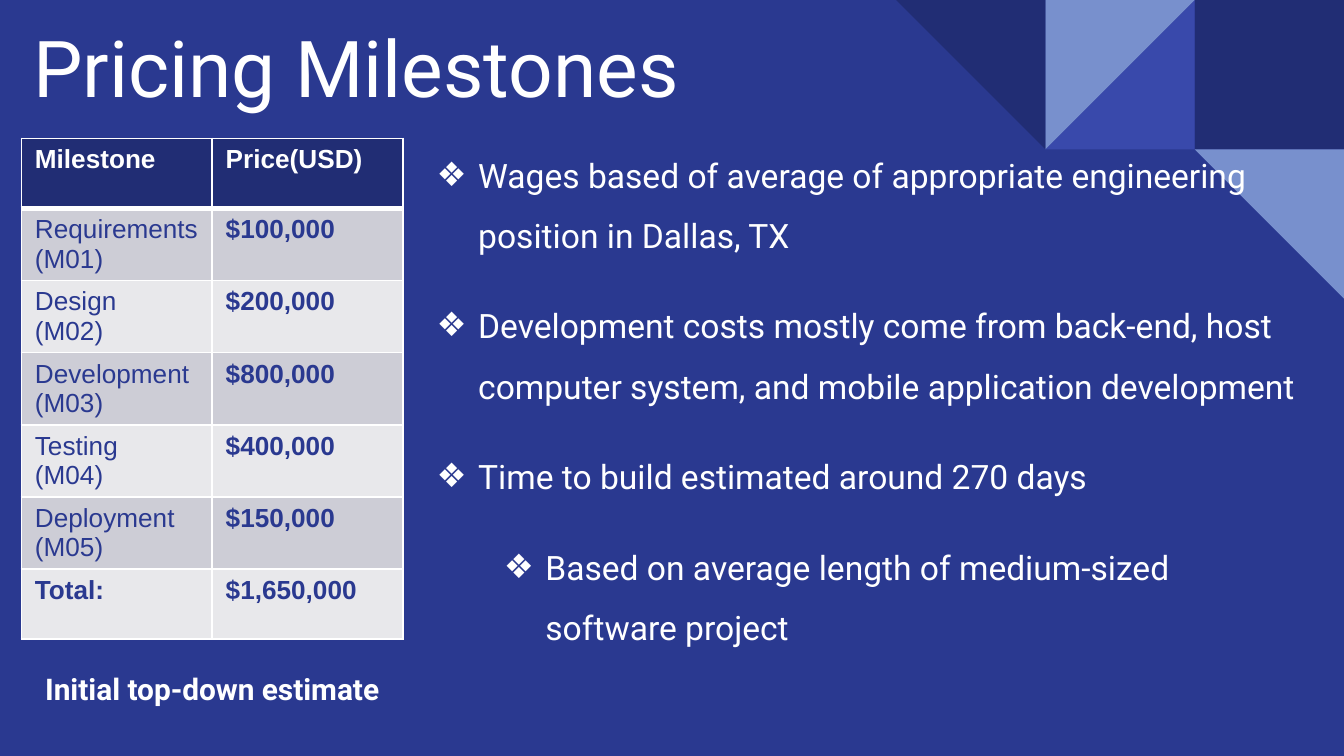
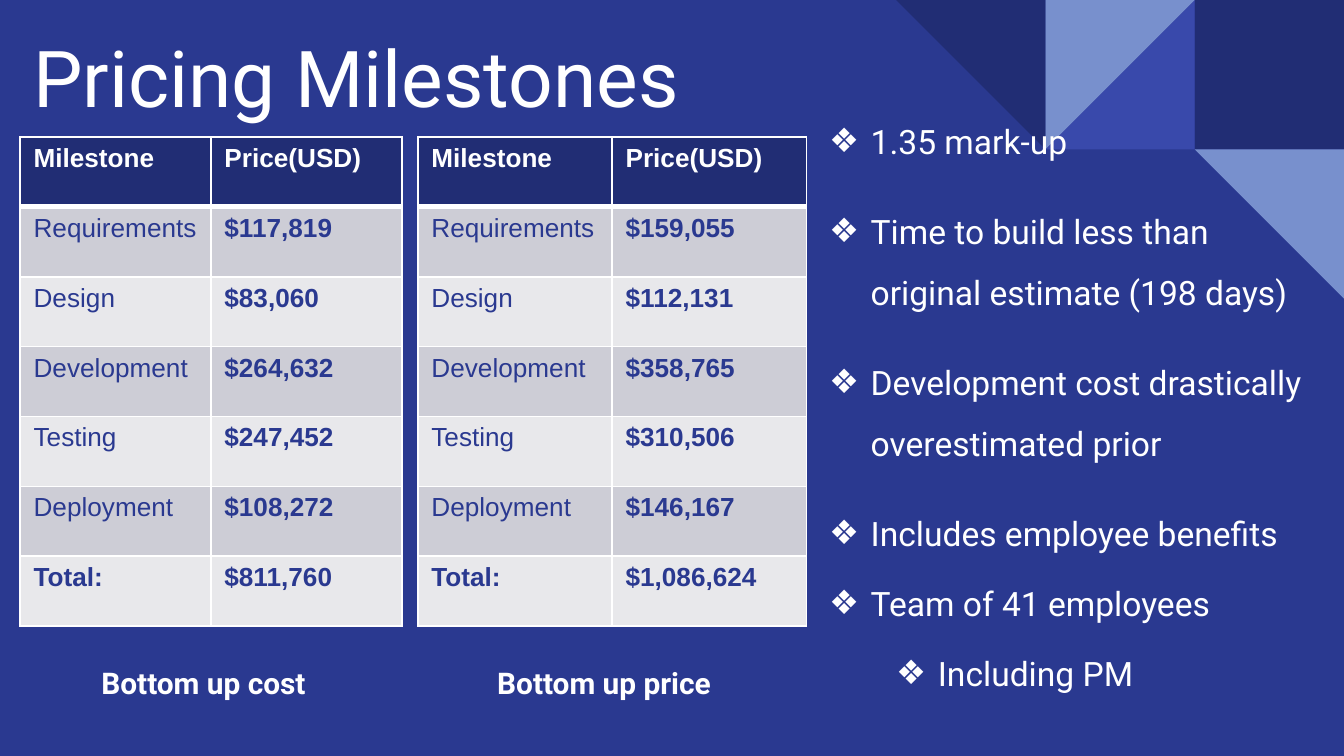
from lxml.etree import SubElement
from pptx import Presentation
from pptx.dml.color import RGBColor
from pptx.enum.shapes import MSO_SHAPE as Shape
from pptx.enum.text import MSO_ANCHOR as Anchor, PP_ALIGN as Align
from pptx.oxml.ns import qn
from pptx.util import Inches, Pt

BLUE, NAVY, ROYAL, SKY = "2A3990", "212D74", "3949AB", "7890CD"
WHITE, GRAY, PALE = "FFFFFF", "CDCDD6", "E8E8EB"
FONT = "Roboto"
TITLE = "Pricing Milestones"
HEAD = ("Milestone", "Price(USD)")
STEPS = ("Requirements", "Design", "Development", "Testing", "Deployment")
WIDTH = 10
ROW = 0.52
TILE = WIDTH / 9

# column from the right, row, shape, turn in degrees, colour
TILES = [
    (0, 0, Shape.RECTANGLE, 0, NAVY),
    (1, 0, Shape.RIGHT_TRIANGLE, 270, ROYAL),
    (1, 0, Shape.RIGHT_TRIANGLE, 90, SKY),
    (2, 0, Shape.RIGHT_TRIANGLE, 180, NAVY),
    (0, 1, Shape.RIGHT_TRIANGLE, 180, SKY),
]

# Each bullet: text, level, line spacing
SLIDES = [
    {
        "top": 0.03,
        "tables": [
            {"at": (0.16, 1.03), "width": 2.84, "codes": True,
             "prices": ("$100,000", "$200,000", "$800,000", "$400,000",
                        "$150,000", "$1,650,000")},
        ],
        "labels": [("Initial top-down estimate", (0.16, 4.92, 2.84, 0.4))],
        "box": (2.55, 0.9, 7.29, 4.39),
        "bullets": [
            ("Wages based of average of appropriate engineering position "
             "in Dallas, TX", 1, 1.5),
            ("Development costs mostly come from back-end, host computer "
             "system, and mobile application development", 1, 1.5),
            ("Time to build estimated around 270 days", 1, 1.5),
            ("Based on average length of medium-sized software project",
             2, 1.5),
        ],
    },
    {
        "top": 0.11,
        "tables": [
            {"at": (0.15, 1.02), "width": 2.84, "codes": False,
             "prices": ("$117,819", "$83,060", "$264,632", "$247,452",
                        "$108,272", "$811,760")},
            {"at": (3.11, 1.02), "width": 2.89, "codes": False,
             "prices": ("$159,055", "$112,131", "$358,765", "$310,506",
                        "$146,167", "$1,086,624")},
        ],
        "labels": [("Bottom up cost", (0.25, 4.88, 2.53, 0.4)),
                   ("Bottom up price", (3.23, 4.88, 2.53, 0.4))],
        "box": (5.47, 0.65, 4.38, 4.74),
        "bullets": [
            ("1.35 mark-up", 1, 1.5),
            ("Time to build less than original estimate (198 days)", 1, 1.5),
            ("Development cost drastically overestimated prior", 1, 1.5),
            ("Includes employee benefits", 1, 1.5),
            ("Team of 41 employees", 1, 1),
            ("Including PM", 2, 1),
        ],
    },
]


def rgb(code):
    return RGBColor.from_string(code)


def paint(item, code):
    item.fill.solid()
    item.fill.fore_color.rgb = rgb(code)


def write(para, text, size=18, color=WHITE, bold=False, font=FONT,
          align=None):
    run = para.add_run()
    run.text = text
    run.font.size = Pt(size)
    run.font.name = font
    run.font.bold = bold
    run.font.color.rgb = rgb(color)
    para.alignment = align


def add_box(slide, at, anchor=Anchor.TOP):
    """Add an empty text box and return its text frame."""
    frame = slide.shapes.add_textbox(*map(Inches, at)).text_frame
    frame.word_wrap = True
    frame.vertical_anchor = anchor
    frame.margin_left = frame.margin_right = Inches(0.1)
    frame.margin_top = frame.margin_bottom = Inches(0.1)
    return frame


def add_tiles(slide):
    for col, row, kind, turn, color in TILES:
        left = WIDTH - TILE * (col + 1)
        tile = slide.shapes.add_shape(
            kind, Inches(left), Inches(row * TILE), Inches(TILE), Inches(TILE))
        tile.rotation = turn
        tile.shadow.inherit = False
        tile.line.fill.background()
        paint(tile, color)


def add_edges(cell, top, bottom):
    """Draw white cell borders; top and bottom widths are in points."""
    props = cell._tc.get_or_add_tcPr()
    widths = {"a:lnL": 1, "a:lnR": 1, "a:lnT": top, "a:lnB": bottom}
    for spot, (tag, width) in enumerate(widths.items()):
        line = SubElement(props, qn(tag), w=str(Pt(width)))
        fill = SubElement(line, qn("a:solidFill"))
        SubElement(fill, qn("a:srgbClr"), val=WHITE)
        props.insert(spot, line)


def add_prices(slide, at, width, codes, prices):
    names = [f"{step}\n(M{n:02})" if codes else step
             for n, step in enumerate(STEPS, 1)]
    rows = [HEAD, *zip([*names, "Total:"], prices)]
    grid = slide.shapes.add_table(
        len(rows), len(HEAD), *map(Inches, (*at, width, ROW * len(rows)))).table
    for r, texts in enumerate(rows):
        grid.rows[r].height = Inches(ROW)
        shade = NAVY if r == 0 else GRAY if r % 2 else PALE
        for c, text in enumerate(texts):
            cell = grid.cell(r, c)
            cell.margin_bottom = Inches(0.02)
            paint(cell, shade)
            add_edges(cell, 3 if r == 1 else 1, 3 if r == 0 else 1)
            for n, part in enumerate(text.split("\n")):
                frame = cell.text_frame
                para = frame.add_paragraph() if n else frame.paragraphs[0]
                write(para, part, size=14, font="Arial",
                      color=BLUE if r else WHITE,
                      bold=c == 1 or r in (0, len(rows) - 1))


def add_bullets(slide, at, items):
    frame = add_box(slide, at)
    for n, (text, level, space) in enumerate(items):
        para = frame.add_paragraph() if n else frame.paragraphs[0]
        para.level = level
        para.line_spacing = space
        para.space_before = Pt(16 if n else 0)
        props = para._p.get_or_add_pPr()
        props.set("marL", str(Inches(0.41 + 0.5 * level)))
        props.set("indent", str(Inches(-0.31)))
        tint = SubElement(props, qn("a:buClr"))
        SubElement(tint, qn("a:srgbClr"), val=WHITE)
        SubElement(props, qn("a:buSzPct"), val="100000")
        SubElement(props, qn("a:buFont"), typeface=FONT)
        SubElement(props, qn("a:buChar"), char="❖")
        write(para, text)


def main():
    deck = Presentation()
    deck.slide_width = Inches(WIDTH)
    deck.slide_height = Inches(WIDTH * 9 / 16)
    for data in SLIDES:
        slide = deck.slides.add_slide(deck.slide_layouts[6])
        paint(slide.background, BLUE)
        add_tiles(slide)
        title = add_box(slide, (0.15, data["top"], 8.99, 0.92), Anchor.MIDDLE)
        write(title.paragraphs[0], TITLE, size=42)
        for table in data["tables"]:
            add_prices(slide, **table)
        for text, at in data["labels"]:
            label = add_box(slide, at, Anchor.MIDDLE)
            write(label.paragraphs[0], text, size=16, bold=True,
                  align=Align.CENTER)
        add_bullets(slide, data["box"], data["bullets"])
    deck.save("out.pptx")


if __name__ == "__main__":
    main()
